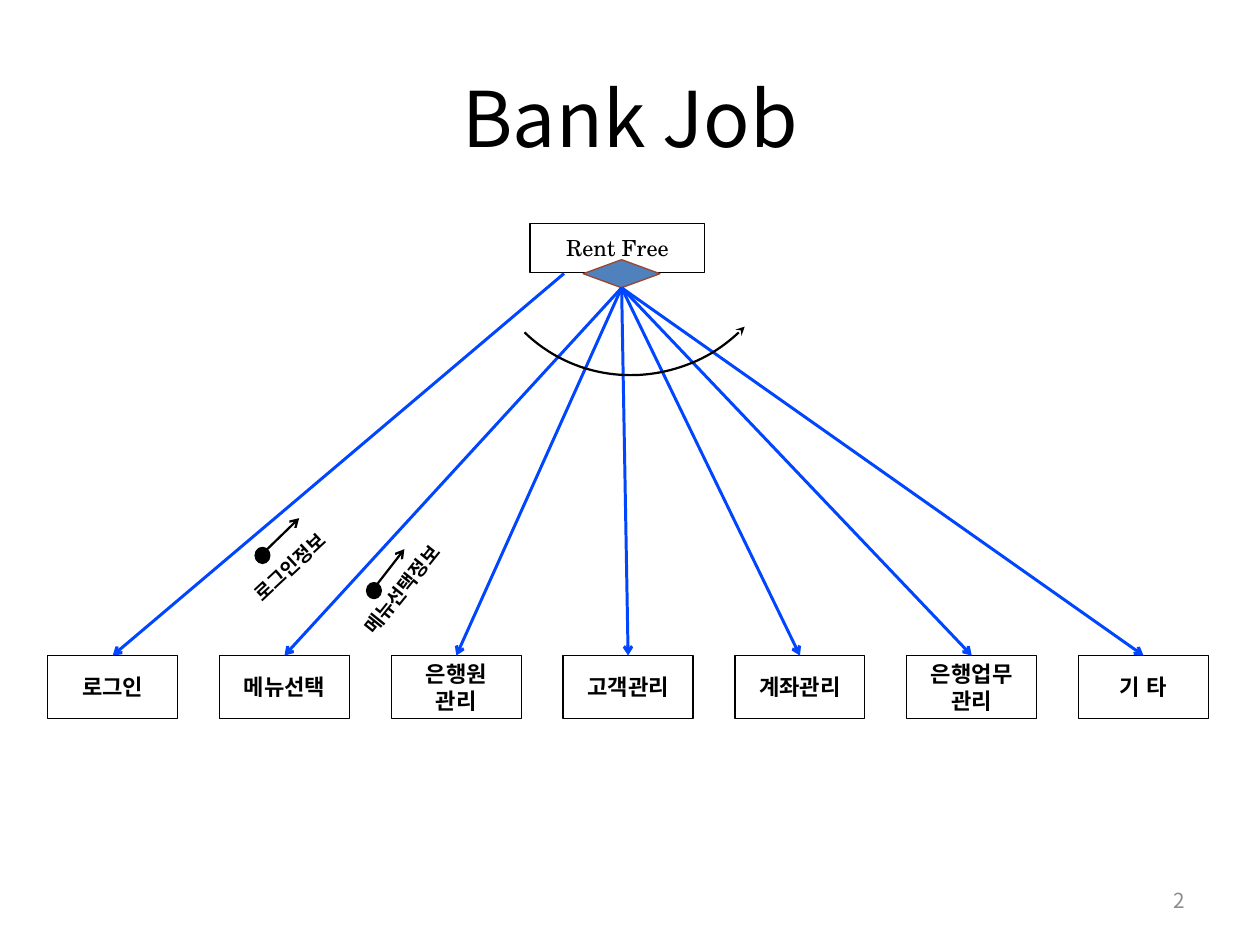
from lxml import etree
from pptx import Presentation
from pptx.dml.color import RGBColor
from pptx.enum import shapes, text
from pptx.oxml.ns import qn
from pptx.util import Cm, Pt

SANS, SERIF = "Noto Sans CJK KR", "TeX Gyre Schola"
BLACK, WHITE, BLUE, GREY = "000000", "FFFFFF", "0046FF", "8C8C8C"
DIAMOND_FILL, DIAMOND_LINE = "4F81BD", "994733"
SHAPE, ALIGN, ANCHOR = shapes.MSO_SHAPE, text.PP_ALIGN, text.MSO_ANCHOR

# All lengths are in centimetres
TITLE = ("Bank Job", (1.5, 0.91, 27.08, 3.76))
PAGE_NUMBER = ("2", (21.56, 20.9, 7.01, 1.19))
ROOT = ("Rent Free", (12.65, 5.33, 4.17, 1.17))
DIAMOND = (13.92, 6.2, 1.83, 0.67)
ARC, ARC_ROTATION = (11.38, 1.57, 7.52, 7.34), 134.2

MODULES = [["로그인"], ["메뉴선택"], ["은행원", "관리"], ["고객관리"],
           ["계좌관리"], ["은행업무", "관리"], ["기 타"]]
MODULE_LEFT, MODULE_TOP, MODULE_STEP = 1.14, 15.65, 4.1
MODULE_SIZE = (3.1, 1.5)
LOGIN_START = (13.46, 6.53)

# label, label box, rotation, dot, arrow start, arrow end
DATA_FLOWS = [
    ("로그인정보", (5.54, 12.9, 3.3, 0.79), 316.9,
     (6.1, 13.08, 0.33, 0.36), (6.12, 13.36), (7.14, 12.37)),
    ("메뉴선택정보", (8.05, 13.56, 3.3, 0.79), 308.8,
     (8.76, 13.92, 0.33, 0.36), (8.79, 14.22), (9.65, 13.11)),
]


def cm(values):
    return [Cm(v) for v in values]


def rgb(color):
    return RGBColor.from_string(color)


def set_line(s, color, width, **ends):
    """Style an outline; ends may give headEnd or tailEnd arrow types."""
    s.line.color.rgb = rgb(color)
    s.line.width = Pt(width)
    ln = s.line._get_or_add_ln()
    for tag, kind in ends.items():
        etree.SubElement(ln, qn("a:" + tag), type=kind)


def add_shape(kind, box, fill, line, width):
    s = slide.shapes.add_shape(kind, *cm(box))
    s.shadow.inherit = False
    if fill:
        s.fill.solid()
        s.fill.fore_color.rgb = rgb(fill)
    else:
        s.fill.background()
    set_line(s, line, width)
    return s


def add_arrow(start, end, color, width):
    s = slide.shapes.add_connector(shapes.MSO_CONNECTOR.STRAIGHT, *cm(start + end))
    set_line(s, color, width, tailEnd="arrow")
    etree.SubElement(s._element.spPr, qn("a:effectLst"))
    return s


def write(s, lines, font, size, color=BLACK, bold=False, align=ALIGN.CENTER,
          anchor=ANCHOR.MIDDLE, insets=(0.23, 0.11)):
    tf = s.text_frame
    tf.word_wrap = True
    tf.vertical_anchor = anchor
    tf.margin_left = tf.margin_right = Cm(insets[0])
    tf.margin_top = tf.margin_bottom = Cm(insets[1])
    for i, line in enumerate(lines):
        p = tf.add_paragraph() if i else tf.paragraphs[0]
        p.alignment = align
        r = p.add_run()
        r.text = line
        r.font.name, r.font.size, r.font.bold = font, Pt(size), bold
        r.font.color.rgb = rgb(color)
        etree.SubElement(r.font._element, qn("a:ea"), typeface=font)


def add_text(content, box, *style, **options):
    s = slide.shapes.add_textbox(*cm(box))
    write(s, [content], *style, **options)
    return s


prs = Presentation()
prs.slide_width, prs.slide_height = Cm(30.07), Cm(22.56)
slide = prs.slides.add_slide(prs.slide_layouts[6])

add_text(*TITLE, SANS, 52, insets=(0.3, 0.15))
add_text(*PAGE_NUMBER, SANS, 14, GREY, align=ALIGN.RIGHT, insets=(0.3, 0.15))

root = add_shape(SHAPE.RECTANGLE, ROOT[1], WHITE, BLACK, 0.9)
write(root, [ROOT[0]], SERIF, 15)
diamond = add_shape(SHAPE.DIAMOND, DIAMOND, DIAMOND_FILL, DIAMOND_LINE, 0.9)

for i, lines in enumerate(MODULES):
    corner = (MODULE_LEFT + i * MODULE_STEP, MODULE_TOP)
    module = add_shape(SHAPE.RECTANGLE, corner + MODULE_SIZE, WHITE, BLACK, 0.9)
    write(module, lines, SERIF, 15, bold=True)
    call = add_arrow(LOGIN_START, corner, BLUE, 2)
    if i:  # every module after login is chosen through the diamond
        call.begin_connect(diamond, 2)
    call.end_connect(module, 0)

for label, box, rotation, dot, start, end in DATA_FLOWS:
    add_shape(SHAPE.FLOWCHART_CONNECTOR, dot, BLACK, BLACK, 1.5)
    add_arrow(start, end, BLACK, 1.5)
    s = add_text(label, box, SANS, 13, bold=True, align=ALIGN.LEFT, anchor=ANCHOR.TOP)
    s.text_frame.auto_size = text.MSO_AUTO_SIZE.SHAPE_TO_FIT_TEXT
    s.rotation = rotation

arc = add_shape(SHAPE.ARC, ARC, None, BLACK, 1.5)
set_line(arc, BLACK, 1.5, headEnd="stealth")
arc.rotation = ARC_ROTATION

prs.save("out.pptx")
